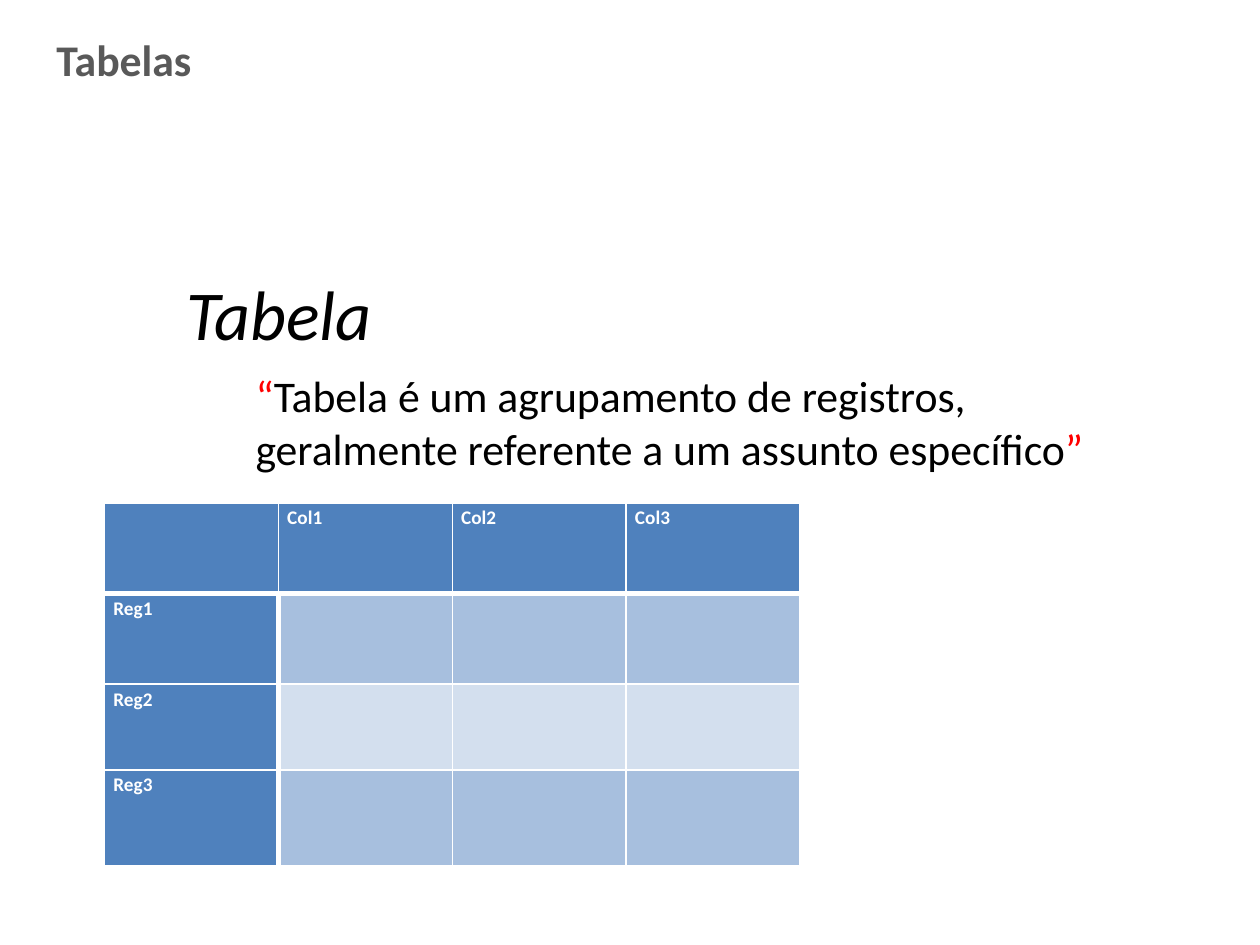
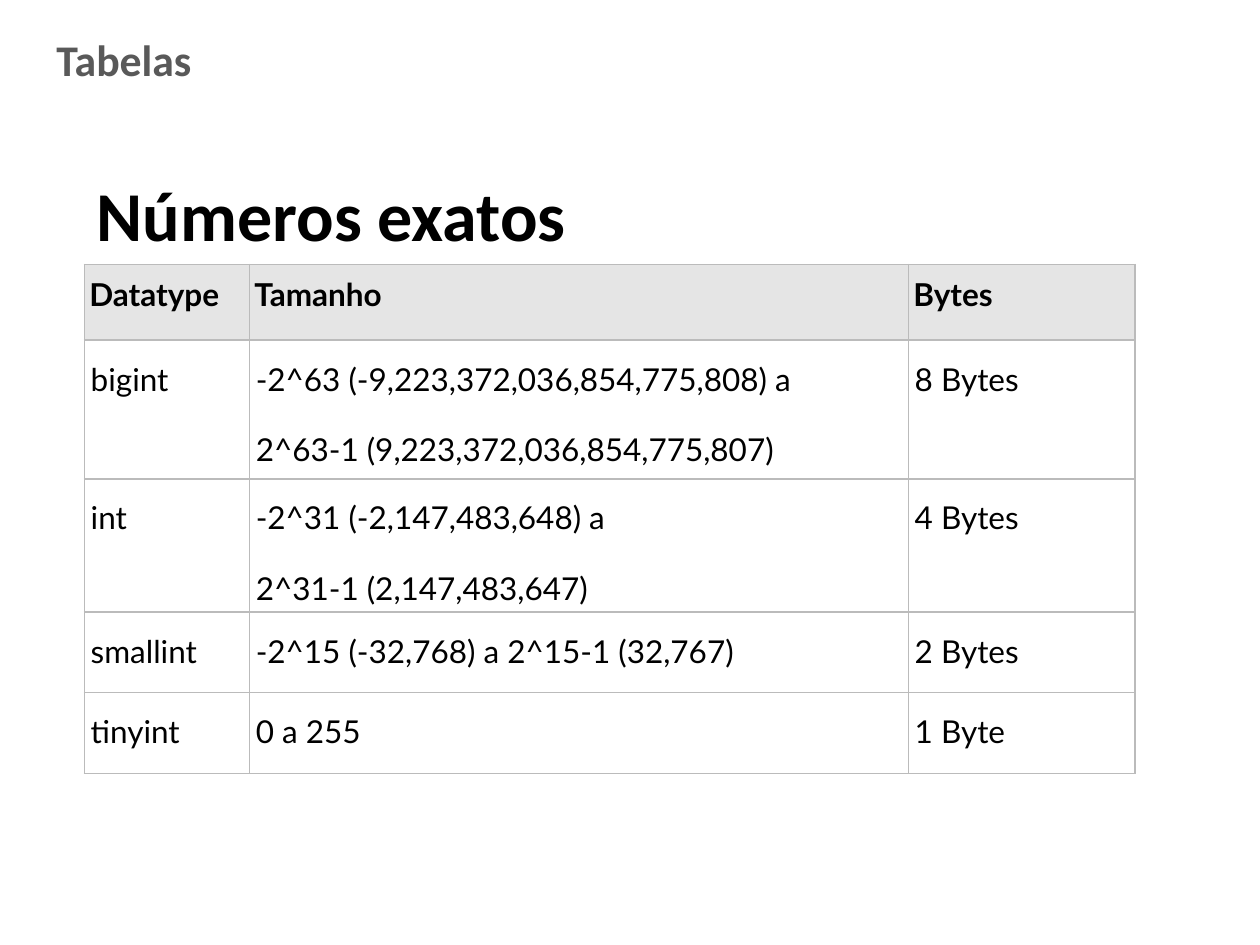
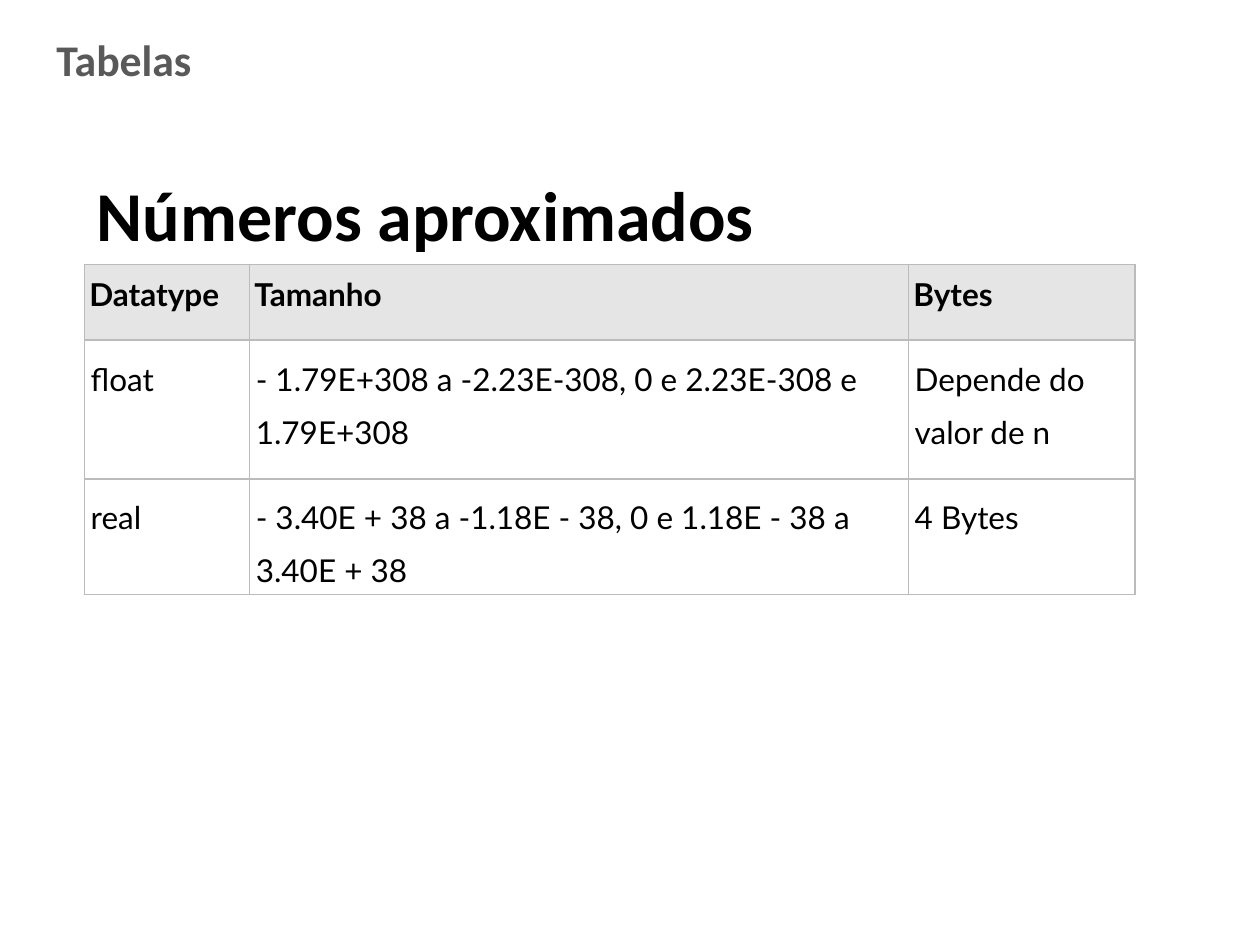
import pptx
import pptx.dml.color
import pptx.enum.text
import pptx.oxml
import pptx.oxml.ns
import pptx.util
from pptx.util import Inches

BLACK, WHITE, RED = "000000", "FFFFFF", "FF0000"
TITLE_GREY, HEADER_GREY, GRID_GREY = "595959", "E5E5E5", "BBBBBB"
BLUE, BAND_DARK, BAND_LIGHT = "4F81BD", "A7BFDE", "D3DFEE"
TEXT_FONT, TYPE_FONT = "Calibri", "Lato"

EXACT_TYPES = [
    ("bigint", "-2^63 (-9,223,372,036,854,775,808) a\n2^63-1 (9,223,372,036,854,775,807)", "8 Bytes"),
    ("int", "-2^31 (-2,147,483,648) a\n2^31-1 (2,147,483,647)", "4 Bytes"),
    ("smallint", "-2^15 (-32,768) a 2^15-1 (32,767)", "2 Bytes"),
    ("tinyint", "0 a 255", "1 Byte"),
]
APPROXIMATE_TYPES = [
    ("float", "- 1.79E+308 a -2.23E-308, 0 e 2.23E-308 e 1.79E+308", "Depende do valor de n"),
    ("real", "- 3.40E + 38 a -1.18E - 38, 0 e 1.18E - 38 a 3.40E + 38", "4 Bytes"),
]


def rgb(color):
    return pptx.dml.color.RGBColor.from_string(color)


def set_font(font, size, name=TEXT_FONT, color=BLACK, bold=False, italic=False):
    font.size = pptx.util.Pt(size)
    font.name = name
    font.color.rgb = rgb(color)
    font.bold = bold
    font.italic = italic


def add_text(slide, left, top, width, height, text, size, **font_options):
    """Add a one-paragraph text box and return its paragraph."""
    frame = slide.shapes.add_textbox(
        Inches(left), Inches(top), Inches(width), Inches(height)).text_frame
    frame.word_wrap = True
    frame.auto_size = pptx.enum.text.MSO_AUTO_SIZE.SHAPE_TO_FIT_TEXT
    paragraph = frame.paragraphs[0]
    paragraph.text = text
    set_font(paragraph.font, size, **font_options)
    return paragraph


def add_titled_slide(presentation):
    slide = presentation.slides.add_slide(presentation.slide_layouts[6])
    add_text(slide, 0.35, 0.21, 5.04, 0.52, "Tabelas", 25, color=TITLE_GREY, bold=True)
    return slide


def add_grid(slide, left, top, column_widths, row_heights):
    """Add an empty table without the banded style."""
    table = slide.shapes.add_table(
        len(row_heights), len(column_widths), Inches(left), Inches(top),
        Inches(sum(column_widths)), Inches(sum(row_heights))).table
    table.first_row = table.horz_banding = False
    for column, width in zip(table.columns, column_widths):
        column.width = Inches(width)
    for row, height in zip(table.rows, row_heights):
        row.height = Inches(height)
    return table


def style_cell(cell, fill, border_color, left=1, right=1, top=1, bottom=1):
    """Set the border widths, in points, and then the fill."""
    properties = cell._tc.get_or_add_tcPr()
    for side, width in zip("LRTB", (left, right, top, bottom)):
        properties.append(pptx.oxml.parse_xml(
            f'<a:ln{side} {pptx.oxml.ns.nsdecls("a")} w="{pptx.util.Pt(width)}">'
            f'<a:solidFill><a:srgbClr val="{border_color}"/></a:solidFill></a:ln{side}>'))
    cell.fill.solid()
    cell.fill.fore_color.rgb = rgb(fill)


def write_cell(cell, text, margins, line_spacing, space_after, size, **font_options):
    """Fill a cell; margins are left, top, right and bottom."""
    (cell.margin_left, cell.margin_top,
     cell.margin_right, cell.margin_bottom) = map(Inches, margins)
    cell.text = text
    for paragraph in cell.text_frame.paragraphs:
        paragraph.line_spacing = line_spacing
        paragraph.space_after = pptx.util.Pt(space_after)
        set_font(paragraph.font, size, **font_options)


def add_record_table(slide):
    table = add_grid(slide, 0.83, 3.99, [1.38] * 4, [0.72, 0.72, 0.68, 0.76])
    for row in range(4):
        for column in range(4):
            cell = table.cell(row, column)
            is_header = row == 0 or column == 0
            band = BAND_DARK if row % 2 else BAND_LIGHT
            style_cell(cell, BLUE if is_header else band, WHITE,
                       left=3 if row and column == 1 else 1,
                       right=3 if row and column == 0 else 1,
                       top=3 if row == 1 else 1,
                       bottom=3 if row == 0 else 1)
            if is_header and row != column:
                label = f"Reg{row}" if row else f"Col{column}"
                write_cell(cell, label, (0.07, 0, 0.07, 0), 1.15, 0, 11,
                           color=WHITE, bold=True)


def add_type_slide(presentation, heading, data_types):
    slide = add_titled_slide(presentation)
    add_text(slide, 0.67, 1.31, 7.09, 0.77, heading, 40, bold=True)
    records = [("Datatype", "Tamanho", "Bytes"), *data_types]
    row_heights = [0.6, 1.1] + [0.64] * (len(records) - 2)
    table = add_grid(slide, 0.67, 2.1, [1.31, 5.23, 1.8], row_heights)
    for row, record in enumerate(records):
        is_header = row == 0
        for column, text in enumerate(record):
            cell = table.cell(row, column)
            style_cell(cell, HEADER_GREY if is_header else WHITE, GRID_GREY)
            write_cell(cell, text, (0.04 if is_header else 0.05, 0.04, 0.04, 0.04),
                       1.15 if is_header else 1.4, 10, 18,
                       name=TYPE_FONT, bold=is_header)


def add_definition_slide(presentation):
    slide = add_titled_slide(presentation)
    add_text(slide, 1.38, 2.1, 2.03, 0.77, "Tabela", 40, italic=True)
    add_record_table(slide)
    quote = add_text(slide, 1.93, 2.88, 7.17, 0.94, "", 25)
    for text, color in (
            ("“", RED),
            ("Tabela é um agrupamento de registros, geralmente referente a um assunto específico", BLACK),
            ("”", RED)):
        run = quote.add_run()
        run.text = text
        set_font(run.font, 25, color=color)


def main():
    presentation = pptx.Presentation()
    presentation.slide_width = Inches(10)
    presentation.slide_height = Inches(7.5)
    add_definition_slide(presentation)
    add_type_slide(presentation, "Números exatos", EXACT_TYPES)
    add_type_slide(presentation, "Números aproximados", APPROXIMATE_TYPES)
    presentation.save("out.pptx")


if __name__ == "__main__":
    main()
